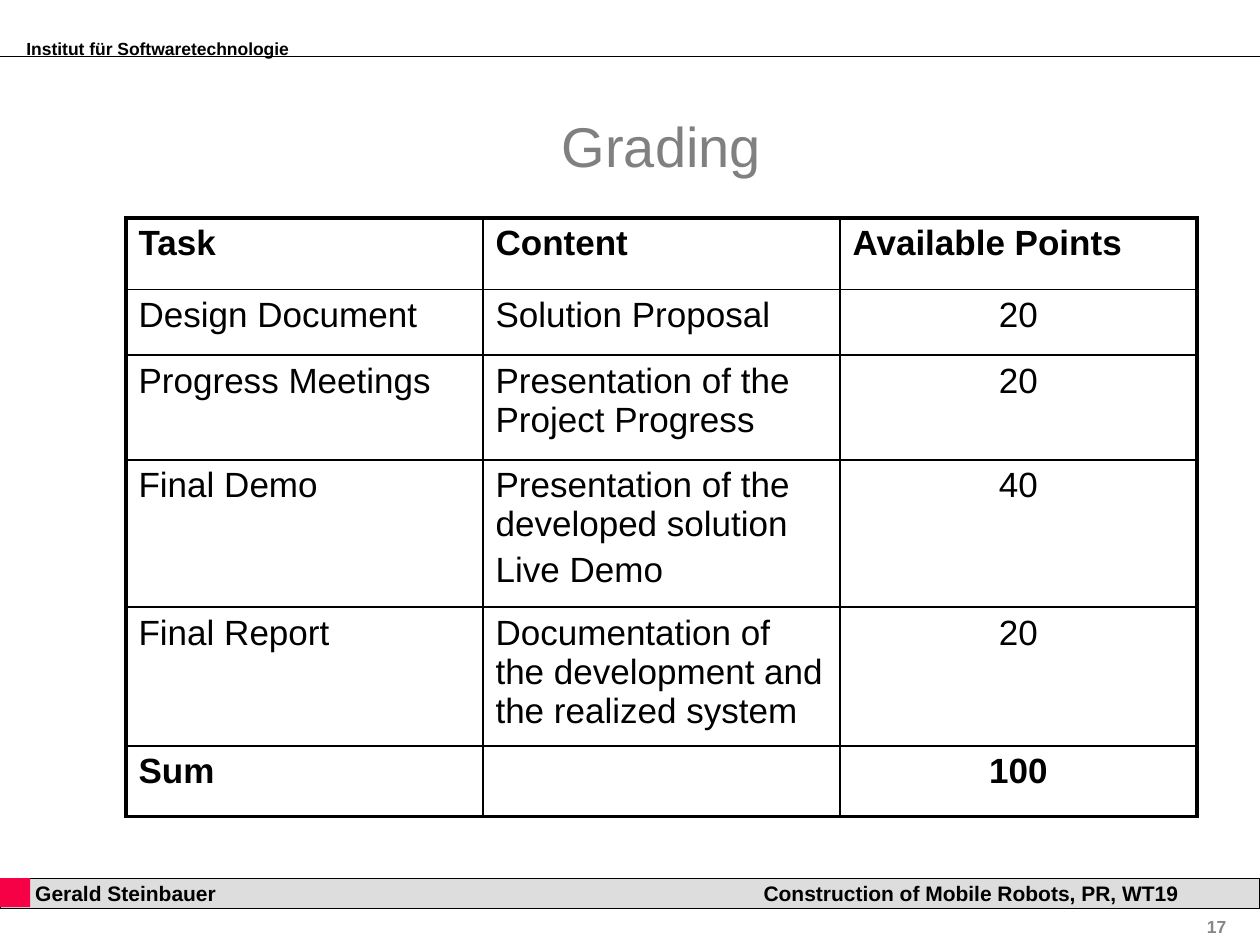
from dataclasses import dataclass

from lxml.etree import SubElement
from pptx import Presentation
from pptx.dml.color import RGBColor
from pptx.enum.shapes import MSO_CONNECTOR, MSO_SHAPE
from pptx.enum.text import MSO_ANCHOR, PP_ALIGN
from pptx.oxml.ns import qn
from pptx.util import Inches, Pt


@dataclass(frozen=True)
class Theme:
    font: str = "Arial"
    black: RGBColor = RGBColor(0x00, 0x00, 0x00)
    title_gray: RGBColor = RGBColor(0x80, 0x80, 0x80)
    number_gray: RGBColor = RGBColor(0x87, 0x87, 0x87)
    bar_gray: RGBColor = RGBColor(0xDD, 0xDD, 0xDD)
    red: RGBColor = RGBColor(0xF7, 0x01, 0x46)
    title_size: Pt = Pt(32)
    table_size: Pt = Pt(20)
    footer_size: Pt = Pt(12)
    small_size: Pt = Pt(10)
    thin: Pt = Pt(1)
    thick: Pt = Pt(2.25)


theme = Theme()


def write(frame, text, size, color=theme.black, bold=False, align=PP_ALIGN.LEFT):
    """Fill a text frame, one paragraph for each line of text."""
    frame.word_wrap = True
    frame.text = text
    for index, para in enumerate(frame.paragraphs):
        para.alignment = align
        para.space_before = Pt(4) if index else Pt(0)
        para.font.name = theme.font
        para.font.size = size
        para.font.color.rgb = color
        para.font.bold = bold


def set_border(cell, side, width):
    """Draw one cell border: side is L, R, T or B."""
    line = SubElement(cell._tc.get_or_add_tcPr(), qn(f"a:ln{side}"), w=str(width))
    fill = SubElement(line, qn("a:solidFill"))
    SubElement(fill, qn("a:srgbClr"), val=str(theme.black))


deck = Presentation()
deck.slide_width, deck.slide_height = Inches(10), Inches(7.5)
page = deck.slides.add_slide(deck.slide_layouts[6])

# Footer bar with author, and red square on its left end
bars = [
    (10, 0.24, theme.bar_gray, theme.black),
    (0.24, 0.23, theme.red, None),
]
for width, height, fill, outline in bars:
    bar = page.shapes.add_shape(
        MSO_SHAPE.RECTANGLE, 0, Inches(6.97), Inches(width), Inches(height)
    )
    bar.shadow.inherit = False
    bar.fill.solid()
    bar.fill.fore_color.rgb = fill
    if outline is None:
        bar.line.fill.background()
    else:
        bar.line.color.rgb = outline
        bar.line.width = Pt(0.5)
        bar.text_frame.margin_left = Inches(0.28)
        bar.text_frame.vertical_anchor = MSO_ANCHOR.MIDDLE
        write(bar.text_frame, "Gerald Steinbauer", theme.footer_size, bold=True)

# Header rule
rule = page.shapes.add_connector(
    MSO_CONNECTOR.STRAIGHT, 0, Inches(0.45), Inches(10), Inches(0.45)
)
rule.line.color.rgb = theme.black
rule.line.width = Pt(0.75)
SubElement(rule._element.spPr, qn("a:effectLst"))

# Header, course, page number and title
labels = [
    ("Institut für Softwaretechnologie", (0.13, 0.25, 2.6, 0.27), 0.08,
     theme.small_size, theme.black, True, PP_ALIGN.LEFT, MSO_ANCHOR.TOP),
    ("Construction of Mobile Robots, PR, WT19", (5.91, 6.94, 3.89, 0.5), 0.15,
     theme.footer_size, theme.black, True, PP_ALIGN.LEFT, MSO_ANCHOR.TOP),
    ("17", (8.82, 7.22, 1.01, 0.27), 0.1,
     theme.small_size, theme.number_gray, True, PP_ALIGN.RIGHT, MSO_ANCHOR.TOP),
    ("Grading", (1, 0.78, 8.5, 0.74), 0.1,
     theme.title_size, theme.title_gray, False, PP_ALIGN.CENTER, MSO_ANCHOR.MIDDLE),
]
for text, place, indent, size, color, bold, align, anchor in labels:
    box = page.shapes.add_textbox(*map(Inches, place))
    box.text_frame.margin_left = Inches(indent)
    box.text_frame.vertical_anchor = anchor
    write(box.text_frame, text, size, color, bold, align)

# Grading table
rows = [
    ("Task", "Content", "Available Points"),
    ("Design Document", "Solution Proposal", "20"),
    ("Progress Meetings", "Presentation of the Project Progress", "20"),
    ("Final Demo", "Presentation of the developed solution\nLive Demo", "40"),
    ("Final Report", "Documentation of the development and the realized system", "20"),
    ("Sum", "", "100"),
]
row_heights = [0.57, 0.52, 0.83, 1.17, 1.03, 0.56]
last_row, last_column = len(rows) - 1, len(rows[0]) - 1

table = page.shapes.add_table(
    len(rows), len(rows[0]), Inches(1), Inches(1.73),
    Inches(8.5), Inches(sum(row_heights)),
).table
table.first_row = table.horz_banding = False
for row, height in zip(table.rows, row_heights):
    row.height = Inches(height)

for r, texts in enumerate(rows):
    for c, text in enumerate(texts):
        cell = table.cell(r, c)
        centered = c == last_column and r > 0
        write(cell.text_frame, text, theme.table_size,
              bold=r in (0, last_row),
              align=PP_ALIGN.CENTER if centered else PP_ALIGN.LEFT)
        # Thick frame around the table, thin lines inside
        outer = {"L": c == 0, "R": c == last_column, "T": r == 0, "B": r == last_row}
        for side, is_outer in outer.items():
            set_border(cell, side, theme.thick if is_outer else theme.thin)
        cell.fill.background()

deck.save("out.pptx")
